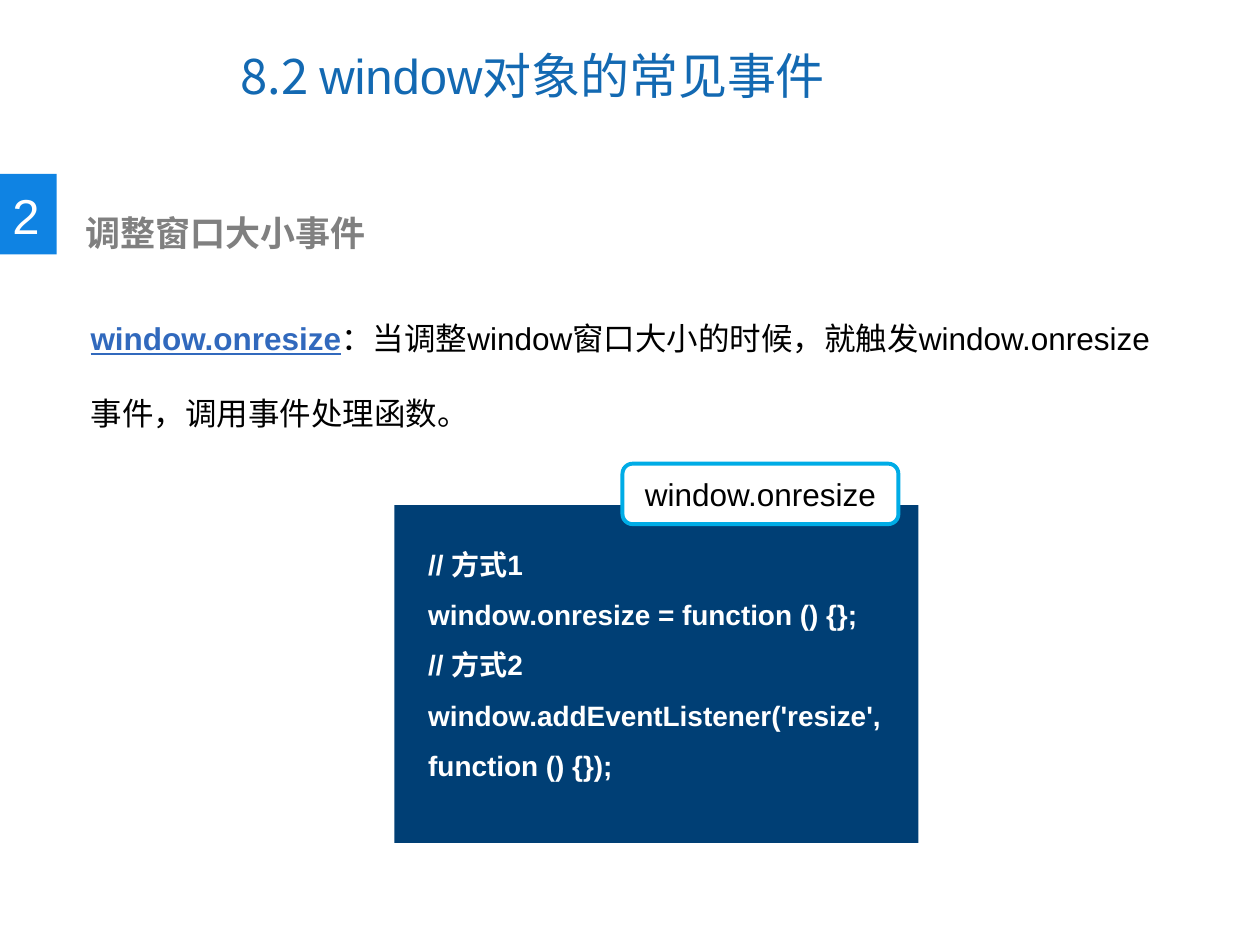
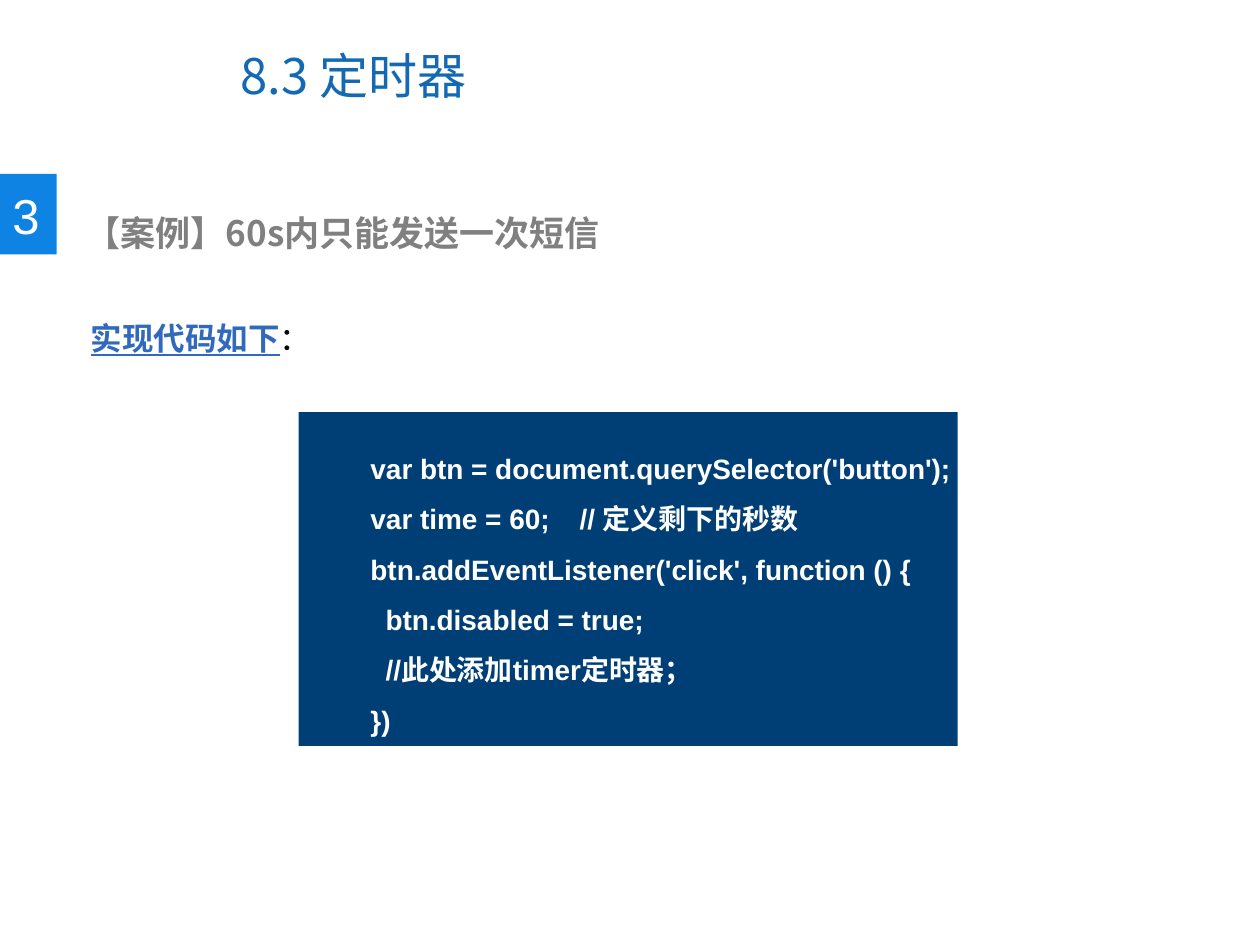
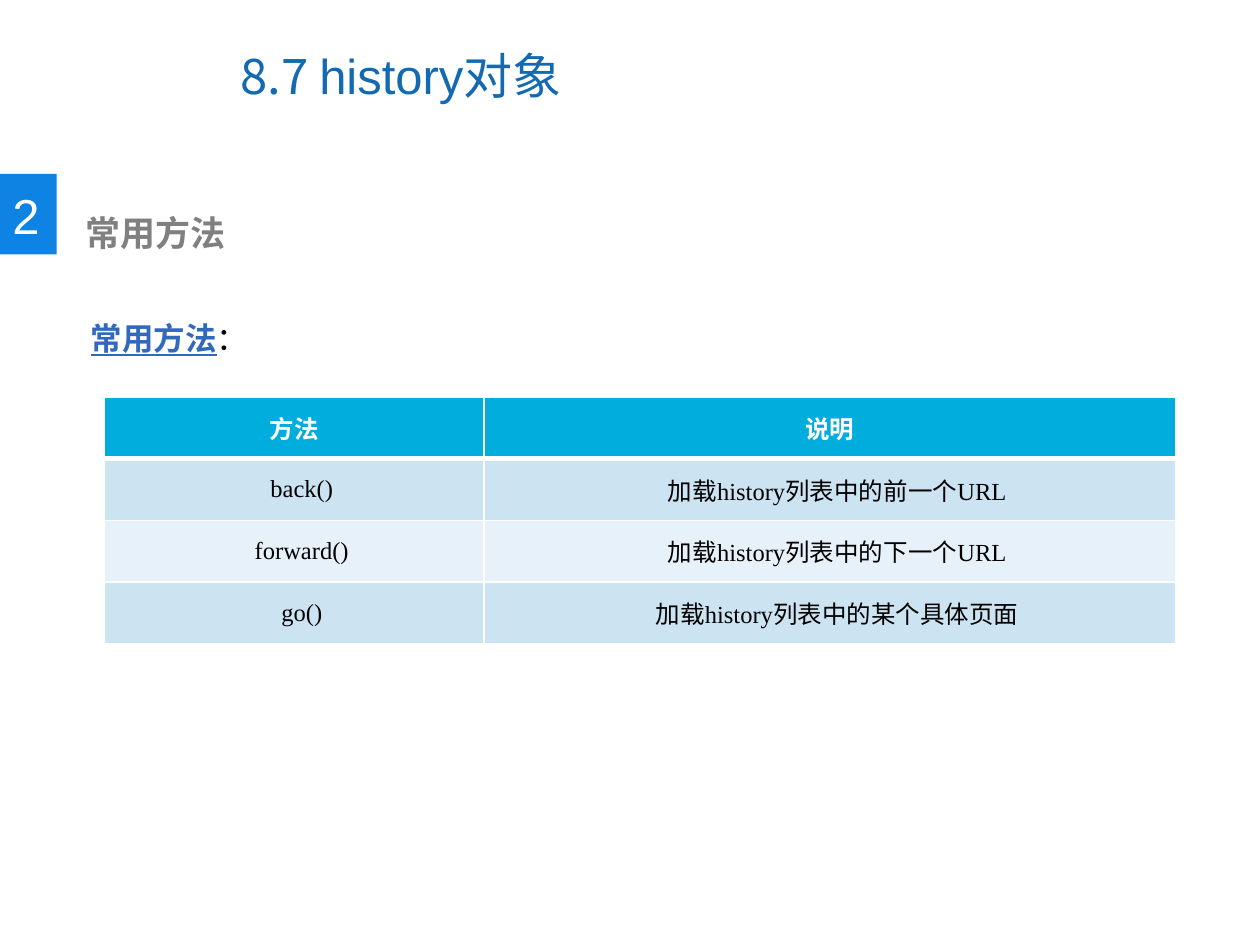
from pptx import Presentation
from pptx.dml.color import RGBColor
from pptx.enum.shapes import MSO_SHAPE
from pptx.enum.text import MSO_ANCHOR, PP_ALIGN
from pptx.util import Inches, Pt
from lxml.etree import SubElement
from pptx.oxml.ns import qn

SANS, LATIN, SERIF = "Noto Sans CJK SC", "Arial", "Times New Roman"
WHITE, BLACK, GREY = "FFFFFF", "000000", "808080"
BLUE, BADGE, TERM, NAVY = "1369B2", "0F83E3", "3169BD", "003F75"
CYAN, HEAD, BANDS = "00ACE6", "00ADDC", ("CCE3F2", "E7F1F9")


def rgb(code):
    return RGBColor.from_string(code)


def indent(para, left):
    para._p.get_or_add_pPr().set("marL", str(Inches(left)))


def tab_stop(para, pos):
    stops = SubElement(para._p.get_or_add_pPr(), qn("a:tabLst"))
    SubElement(stops, qn("a:tab"), pos=str(Inches(pos)), algn="l")


def edge(cell, side, width):
    """Draw one white cell border; call it before the cell is filled."""
    line = SubElement(cell._tc.get_or_add_tcPr(), qn("a:ln" + side), w=str(Pt(width)))
    SubElement(SubElement(line, qn("a:solidFill")), qn("a:srgbClr"), val=WHITE)


class Deck:
    def __init__(self):
        self.prs = Presentation()
        self.prs.slide_width, self.prs.slide_height = Inches(10), Inches(7.5)

    def page(self, title, number, heading):
        """Start a slide with its title runs, numbered badge and heading."""
        self.slide = self.prs.slides.add_slide(self.prs.slide_layouts[6])
        self.shapes = self.slide.shapes
        frame = self.text(1.81, 0.17, 5.16, 0.85)
        frame.vertical_anchor = MSO_ANCHOR.MIDDLE
        for part, font in title:
            self.run(frame.paragraphs[0], part, 28, BLUE, font)
        group = self.shapes.add_group_shape().shapes
        self.box(0, 1.38, 0.45, 0.64, BADGE, host=group)
        frame = self.text(0, 1.42, 0.42, 0.57, host=group)
        frame.word_wrap = False
        self.run(frame.paragraphs[0], number, 28, WHITE)
        para = self.text(0.58, 1.63, 5.03, 0.44).paragraphs[0]
        self.run(para, heading, 20, GREY, SANS, bold=True)

    def run(self, para, text, size, color, font=LATIN, bold=False, line=False):
        run = para.add_run()
        run.text = text
        face = run.font
        face.size, face.bold, face.underline = Pt(size), bold, line
        face.color.rgb = rgb(color)
        face.name = font
        SubElement(run._r.get_or_add_rPr(), qn("a:ea"), typeface=SANS)

    def text(self, x, y, w, h, host=None):
        spot = map(Inches, (x, y, w, h))
        frame = (host or self.shapes).add_textbox(*spot).text_frame
        frame.word_wrap = True
        return frame

    def box(self, x, y, w, h, fill, kind=MSO_SHAPE.RECTANGLE, host=None):
        spot = map(Inches, (x, y, w, h))
        shape = (host or self.shapes).add_shape(kind, *spot)
        shape.shadow.inherit = False
        shape.fill.solid()
        shape.fill.fore_color.rgb = rgb(fill)
        shape.line.fill.background()
        return shape

    def lead(self, term, rest, height):
        para = self.text(0.62, 2.18, 8.65, height).paragraphs[0]
        para.line_spacing = 2.0
        self.run(para, term, 18, TERM, bold=True, line=True)
        self.run(para, rest, 18, BLACK)

    def code(self, panel, area, lines, inset=0.1):
        """Draw a panel with code lines; return the paragraphs."""
        group = self.shapes.add_group_shape().shapes
        self.box(*panel, NAVY, host=group)
        frame = self.text(*area, host=group)
        frame.margin_left = Inches(inset)
        for i, line in enumerate(lines):
            para = frame.add_paragraph() if i else frame.paragraphs[0]
            para.line_spacing = 1.5
            self.run(para, line, 16, WHITE, bold=True)
        return frame.paragraphs

    def label(self, x, y, w, h, text):
        shape = self.box(x, y, w, h, WHITE, MSO_SHAPE.ROUNDED_RECTANGLE)
        shape.line.color.rgb = rgb(CYAN)
        shape.line.width = Pt(2.25)
        para = shape.text_frame.paragraphs[0]
        para.alignment = PP_ALIGN.CENTER
        self.run(para, text, 18, BLACK)

    def table(self, x, y, widths, height, rows):
        spot = map(Inches, (x, y, sum(widths), height * len(rows)))
        table = self.shapes.add_table(len(rows), len(widths), *spot).table
        table.first_row = table.horz_banding = False
        for col, width in zip(table.columns, widths):
            col.width = Inches(width)
        for r, row in enumerate(rows):
            for c, text in enumerate(row):
                self.cell(table.cell(r, c), r, text)

    def cell(self, cell, row, text):
        for side in "LRTB":
            thick = (row, side) in ((0, "B"), (1, "T"))
            edge(cell, side, 3 if thick else 1)
        cell.fill.solid()
        cell.fill.fore_color.rgb = rgb(BANDS[(row - 1) % 2] if row else HEAD)
        cell.vertical_anchor = MSO_ANCHOR.MIDDLE
        cell.margin_left = cell.margin_right = Inches(0.08)
        cell.margin_top = cell.margin_bottom = 0
        para = cell.text_frame.paragraphs[0]
        para.alignment = PP_ALIGN.CENTER
        if row:
            indent(para, 0.12)
        self.run(para, text, 14, BLACK if row else WHITE, SERIF, bold=not row)


def resize(deck):
    title = [("8.2 ", SANS), ("window", LATIN), ("对象的常见事件", SANS)]
    deck.page(title, "2", "调整窗口大小事件")
    deck.lead("window.onresize", "：当调整window窗口大小的时候，就触发"
              "window.onresize事件，调用事件处理函数。", 1.22)
    deck.code((3.13, 4.01, 4.16, 2.68), (3.3, 4.16, 4.29, 2.07), [
        "// 方式1",
        "window.onresize = function () {};",
        "// 方式2",
        "window.addEventListener('resize', function () {});",
    ])
    deck.label(4.94, 3.68, 2.19, 0.48, "window.onresize")


def timer(deck):
    deck.page([("8.3 定时器", SANS)], "3", "【案例】60s内只能发送一次短信")
    deck.lead("实现代码如下", "：", 0.61)
    lines = deck.code((2.37, 3.27, 5.23, 2.65), (2.59, 3.4, 5.15, 2.52), [
        "var btn = document.querySelector('button');",
        "var time = 60;\t// 定义剩下的秒数",
        "btn.addEventListener('click', function () {",
        "btn.disabled = true;",
        "//此处添加timer定时器；",
        "})",
    ], inset=0.35)
    tab_stop(lines[1], 1.66)
    for line in lines[3:5]:
        indent(line, 0.12)


def history(deck):
    title = [("8.7 ", SANS), ("history", LATIN), ("对象", SANS)]
    deck.page(title, "2", "常用方法")
    deck.lead("常用方法", "：", 0.71)
    deck.table(0.83, 3.15, (3.01, 5.49), 0.49, [
        ("方法", "说明"),
        ("back()", "加载history列表中的前一个URL"),
        ("forward()", "加载history列表中的下一个URL"),
        ("go()", "加载history列表中的某个具体页面"),
    ])


def main():
    deck = Deck()
    for build in (resize, timer, history):
        build(deck)
    deck.prs.save("out.pptx")


if __name__ == "__main__":
    main()
